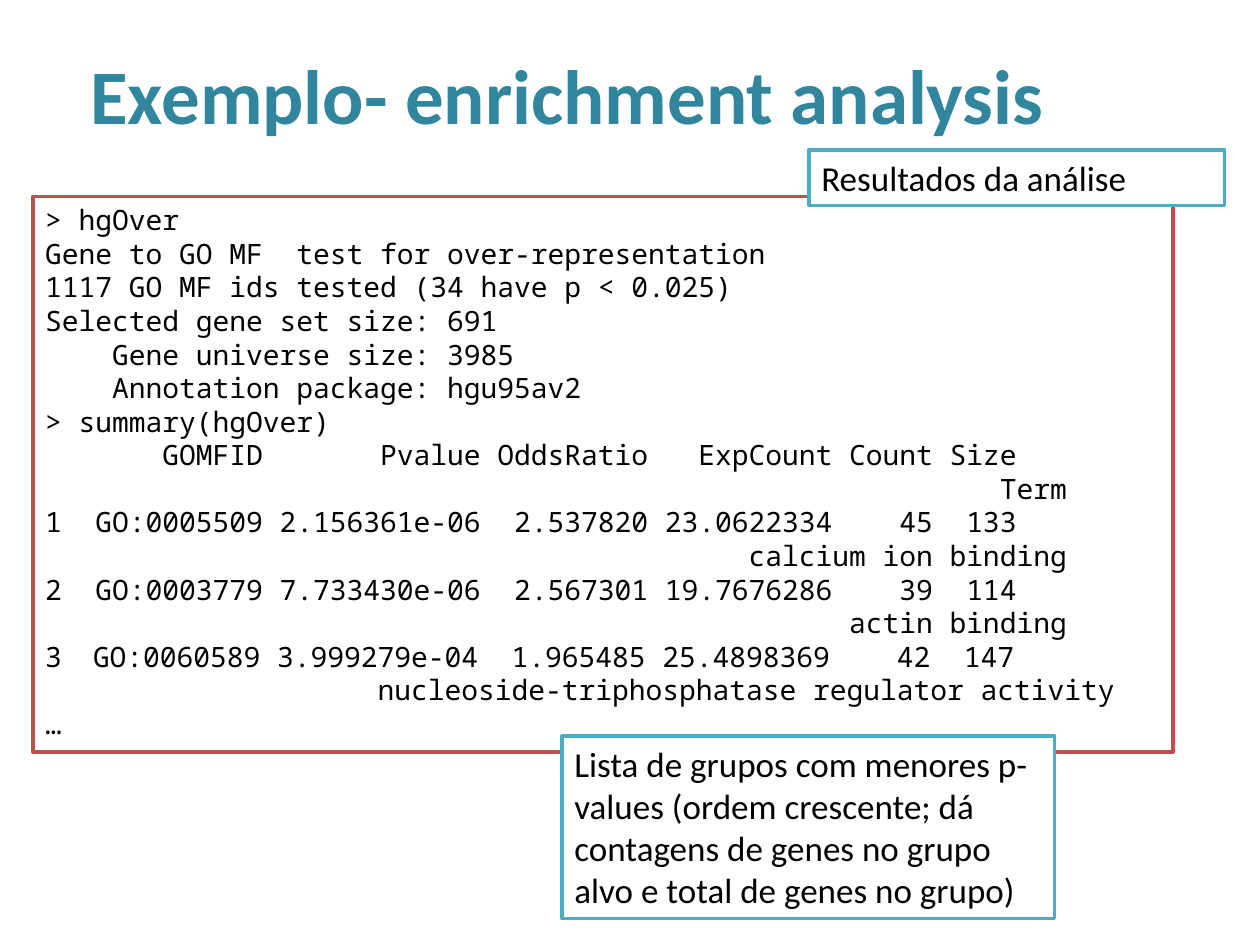
from dataclasses import dataclass

from lxml import etree
from pptx import Presentation
from pptx.dml.color import RGBColor
from pptx.enum import shapes, text
from pptx.oxml.ns import qn
from pptx.util import Inches, Pt


@dataclass
class Box:
    left: float
    top: float
    width: float
    height: float
    line: str
    lines: list[str]
    size: int
    font: str


def rgb(value: str) -> RGBColor:
    return RGBColor.from_string(value)


def add_text(p, content: str, *, size: int, font: str,
             color: str = "000000", bold: bool = False) -> None:
    r = p.add_run()
    r.text = content
    r.font.size = Pt(size)
    r.font.name = font
    r.font.bold = bold
    r.font.color.rgb = rgb(color)


def number_from(p, start: int, indent: float) -> None:
    """Give a paragraph a plain automatic number with a hanging indent."""
    pPr = p._p.get_or_add_pPr()
    pPr.set("marL", str(Inches(indent)))
    pPr.set("indent", str(-Inches(indent)))
    etree.SubElement(pPr, qn("a:buAutoNum"), type="arabicPlain", startAt=str(start))


def add_box(s, box: Box):
    sp = s.shapes.add_shape(shapes.MSO_SHAPE.RECTANGLE, Inches(box.left), Inches(box.top),
                            Inches(box.width), Inches(box.height))
    sp.shadow.inherit = False
    sp.fill.solid()
    sp.fill.fore_color.rgb = rgb("FFFFFF")
    sp.line.color.rgb = rgb(box.line)
    sp.line.width = Pt(2)
    tf = sp.text_frame
    tf.word_wrap = True
    tf.auto_size = text.MSO_AUTO_SIZE.SHAPE_TO_FIT_TEXT
    tf.vertical_anchor = text.MSO_ANCHOR.TOP
    for i, content in enumerate(box.lines):
        p = tf.paragraphs[0] if i == 0 else tf.add_paragraph()
        p.alignment = text.PP_ALIGN.LEFT
        add_text(p, content, size=box.size, font=box.font)
    return sp


def summary_row(number: str, *cells: str) -> str:
    """Right-align the cells of one row as R prints a data frame."""
    widths = (12, 13, 10, 11, 6, 5, 70)
    return number + "".join(cell.rjust(w) for cell, w in zip(cells, widths))


# Console output
SUMMARY = [
    summary_row(" ", "GOMFID", "Pvalue", "OddsRatio", "ExpCount", "Count", "Size", "Term"),
    summary_row("1", "GO:0005509", "2.156361e-06", "2.537820", "23.0622334", "45", "133",
                "calcium ion binding"),
    summary_row("2", "GO:0003779", "7.733430e-06", "2.567301", "19.7676286", "39", "114",
                "actin binding"),
    # The third row takes its number from the list numbering
    summary_row("", "GO:0060589", "3.999279e-04", "1.965485", "25.4898369", "42", "147",
                "nucleoside-triphosphatase regulator activity").lstrip(),
]
CONSOLE = [
    "> hgOver",
    "Gene to GO MF  test for over-representation",
    "1117 GO MF ids tested (34 have p < 0.025)",
    "Selected gene set size: 691",
    "    Gene universe size: 3985",
    "    Annotation package: hgu95av2",
    "> summary(hgOver)",
    *SUMMARY,
    "…",
]


def main() -> None:
    prs = Presentation()
    prs.slide_width, prs.slide_height = Inches(10), Inches(7.5)
    s = prs.slides.add_slide(prs.slide_layouts[5])

    # Title
    title = s.shapes.title
    title.left, title.top = Inches(0.34), Inches(0.12)
    title.width, title.height = Inches(8.33), Inches(1.25)
    title.text_frame.vertical_anchor = text.MSO_ANCHOR.MIDDLE
    p = title.text_frame.paragraphs[0]
    p.alignment = text.PP_ALIGN.CENTER
    add_text(p, "Exemplo- enrichment analysis", size=44, font="Calibri",
             color="31859C", bold=True)

    # Console with the numbered third row
    console = add_box(s, Box(0.26, 1.56, 9.05, 4.41, "C0504D", CONSOLE, 16, "Noto Sans Mono"))
    number_from(console.text_frame.paragraphs[-2], start=3, indent=0.38)

    # Callouts
    add_box(s, Box(6.42, 1.19, 3.3, 0.44, "4BACC6", ["Resultados da análise"], 20, "Calibri"))
    add_box(s, Box(4.46, 5.84, 3.91, 1.45, "4BACC6",
                   ["Lista de grupos com menores p-values (ordem crescente; dá contagens "
                    "de genes no grupo alvo e total de genes no grupo)"], 20, "Calibri"))

    prs.save("out.pptx")


if __name__ == "__main__":
    main()
